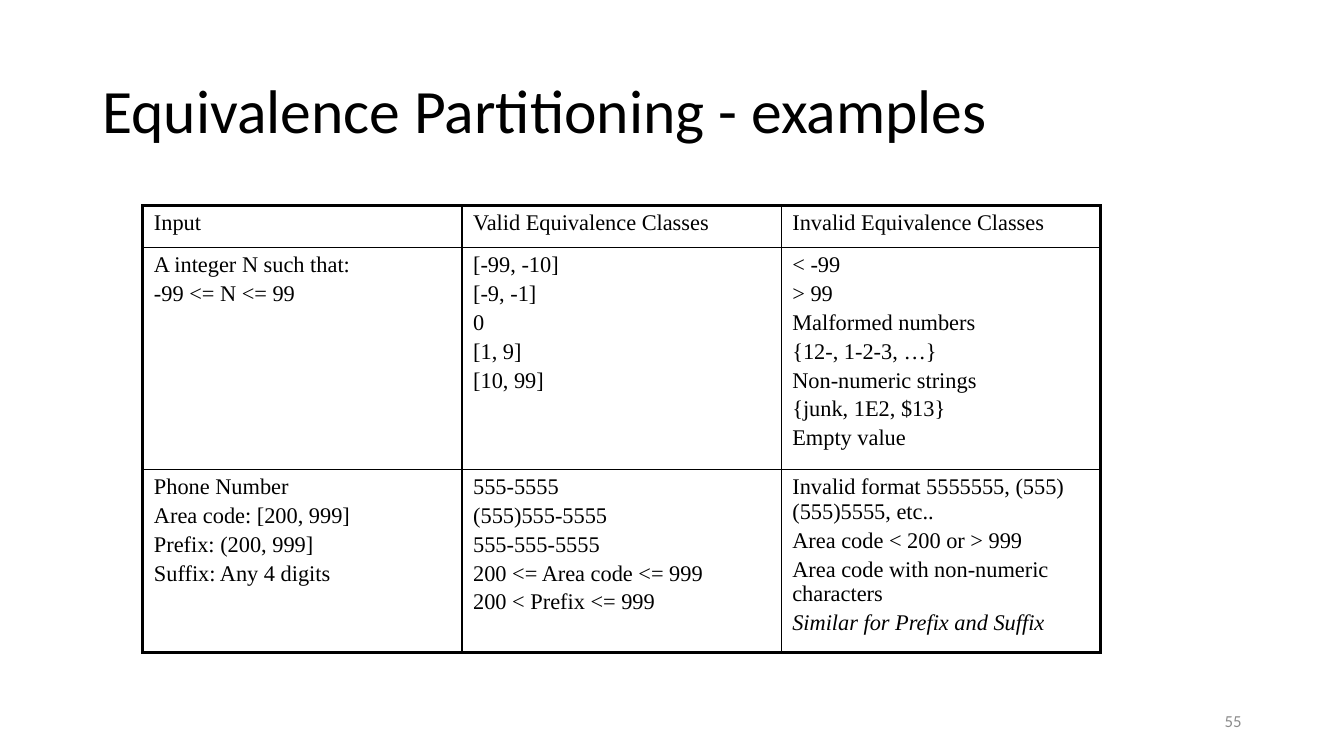
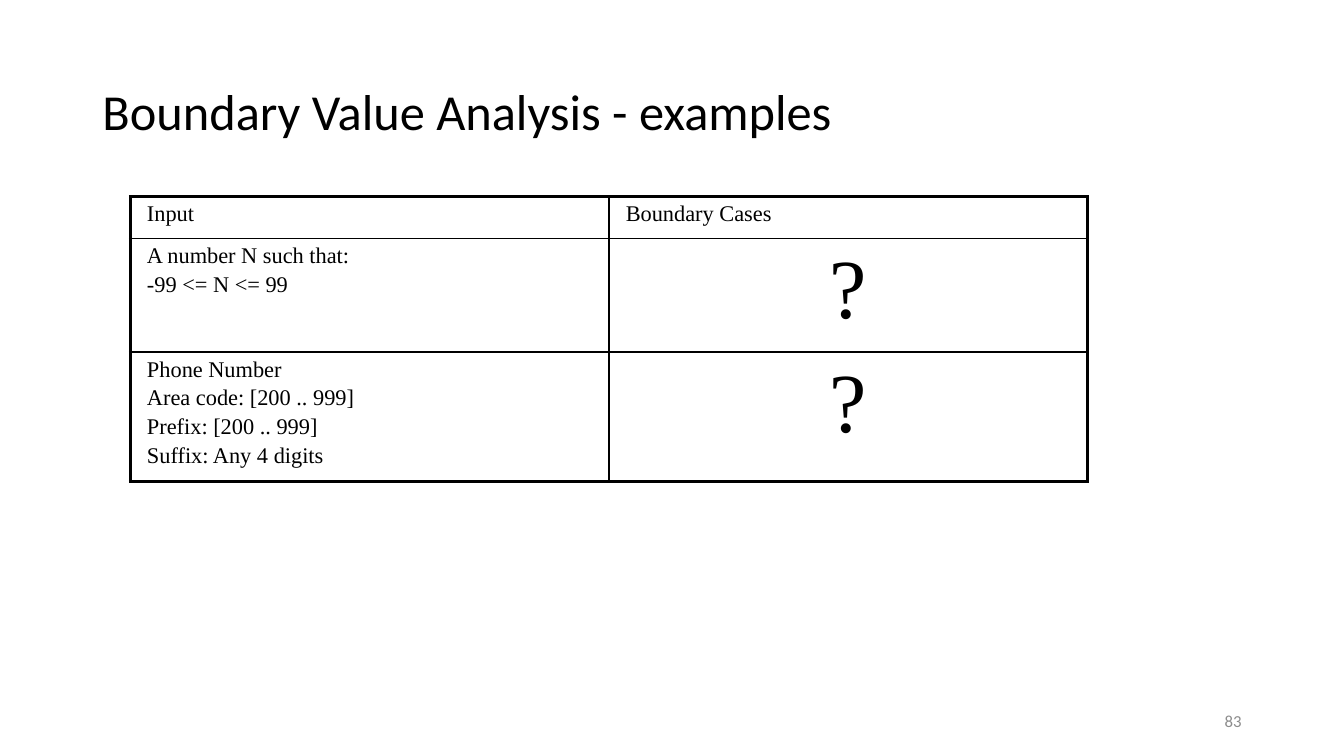
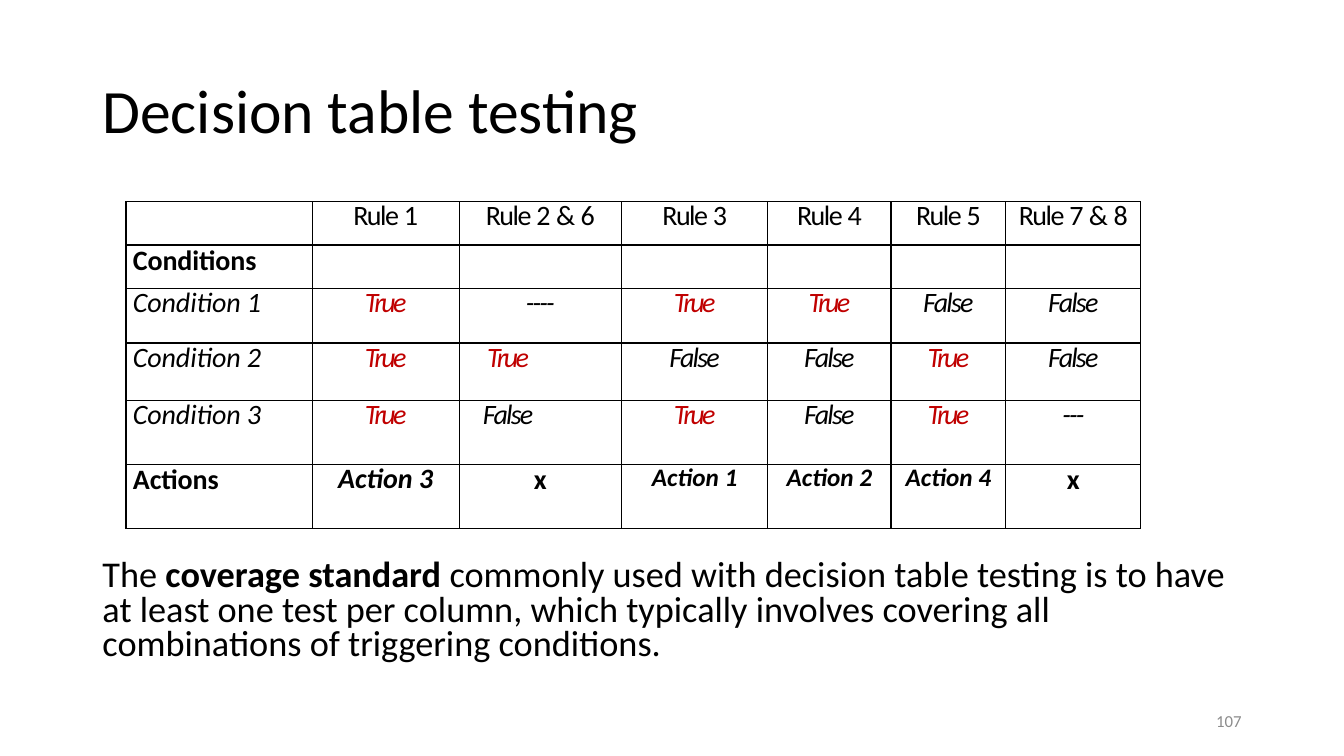
from dataclasses import dataclass

from lxml import etree
from pptx import Presentation
from pptx.dml.color import RGBColor
from pptx.enum.text import MSO_ANCHOR, MSO_AUTO_SIZE, PP_ALIGN
from pptx.oxml.ns import qn
from pptx.util import Pt

LEFT, CENTER, RIGHT = PP_ALIGN.LEFT, PP_ALIGN.CENTER, PP_ALIGN.RIGHT
TOP, MIDDLE = MSO_ANCHOR.TOP, MSO_ANCHOR.MIDDLE
NO_FIT = MSO_AUTO_SIZE.NONE
TITLE_AND_BODY, TITLE_ONLY = 1, 5

COLORS = {"ink": "000000", "true": "C00000", "number": "8C8C8C"}
SANS, SERIF = "Calibri", "Times New Roman"
TITLE_BOX = (66, 29, 828, 104.5)
NUMBER_BOX = (678, 500.5, 216, 29)


@dataclass
class Line:
    text: str
    size: float = 16
    italic: bool = False
    align: int = LEFT


def add_span(para, text, font=SANS, size=20, color="ink", bold=False, italic=False, tracking=0):
    span = para.add_run()
    span.text = text
    span.font.name = font
    span.font.size = Pt(size)
    span.font.bold = bold
    span.font.italic = italic
    span.font.color.rgb = RGBColor.from_string(COLORS[color])
    if tracking:
        span.font._element.set("spc", str(round(tracking * 100)))


def place(shape, box):
    shape.left, shape.top, shape.width, shape.height = map(Pt, box)


def add_page(deck, layout, title, number, title_size=44):
    page = deck.slides.add_slide(deck.slide_layouts[layout])
    heading = page.shapes.title
    place(heading, TITLE_BOX)
    frame = heading.text_frame
    frame.auto_size = NO_FIT
    frame.vertical_anchor = MIDDLE
    para = frame.paragraphs[0]
    para.alignment = LEFT
    para.line_spacing = 0.9
    add_span(para, title, size=title_size)

    footer = page.shapes.add_textbox(*map(Pt, NUMBER_BOX)).text_frame
    footer.word_wrap = True
    footer.vertical_anchor = MIDDLE
    para = footer.paragraphs[0]
    para.alignment = RIGHT
    add_span(para, number, size=12, color="number")
    return page


def add_border(cell, side, width):
    line = etree.SubElement(cell._tc.get_or_add_tcPr(), qn(f"a:ln{side}"), w=str(Pt(width)))
    fill = etree.SubElement(line, qn("a:solidFill"))
    etree.SubElement(fill, qn("a:srgbClr"), val=COLORS["ink"])


def add_grid(page, corner, widths, heights, outer, inner, inset_x, inset_y):
    box = (*corner, sum(widths), sum(heights))
    grid = page.shapes.add_table(len(heights), len(widths), *map(Pt, box)).table
    grid.first_row = grid.horz_banding = False
    for column, width in zip(grid.columns, widths):
        column.width = Pt(width)
    for row, height in zip(grid.rows, heights):
        row.height = Pt(height)
    last_row, last_column = len(heights) - 1, len(widths) - 1
    for r in range(len(heights)):
        for c in range(len(widths)):
            cell = grid.cell(r, c)
            cell.margin_left = cell.margin_right = Pt(inset_x)
            cell.margin_top = cell.margin_bottom = Pt(inset_y)
            edges = {"L": c == 0, "R": c == last_column, "T": r == 0, "B": r == last_row}
            for side, is_outer in edges.items():
                add_border(cell, side, outer if is_outer else inner)
            cell.fill.background()
    return grid


def add_examples(page, corner, widths, heights, inset, rows):
    grid = add_grid(page, corner, widths, heights, 2.25, 1, inset, 3.6)
    for r, row in enumerate(rows):
        for c, lines in enumerate(row):
            frame = grid.cell(r, c).text_frame
            for i, line in enumerate(lines):
                if isinstance(line, str):
                    line = Line(line)
                para = frame.add_paragraph() if i else frame.paragraphs[0]
                para.alignment = line.align
                para.space_before = Pt(2.8 if i else 0)
                add_span(para, line.text, SERIF, line.size, italic=line.italic)


def start_cell(cell, align=CENTER, indent=0, leading=22.8):
    para = cell.text_frame.paragraphs[0]
    para.alignment = align
    para.line_spacing = Pt(leading)
    if indent:
        para._p.get_or_add_pPr().set("marL", str(Pt(indent)))
    return para


def add_decisions(page, corner, widths, heights, rules, conditions, actions):
    grid = add_grid(page, corner, widths, heights, 1, 1, 0, 0)
    for c, rule in enumerate(rules, 1):
        para = start_cell(grid.cell(0, c))
        add_span(para, "Rule ", tracking=-1.1)
        add_span(para, rule, tracking=-0.3)

    for r, label in ((1, "Conditions"), (len(heights) - 1, "Actions")):
        para = start_cell(grid.cell(r, 0), LEFT, 5, 23.4)
        add_span(para, label, bold=True, tracking=-0.1)

    indents = {(3, 2): 20, (4, 2): 17}
    for r, values in enumerate(conditions, 2):
        para = start_cell(grid.cell(r, 0), LEFT, 5)
        add_span(para, f"Condition {r - 1}", italic=True, tracking=-0.1)
        for c, value in enumerate(values, 1):
            indent = indents.get((r, c), 0)
            para = start_cell(grid.cell(r, c), LEFT if indent else CENTER, indent)
            is_true = value == "True"
            add_span(para, value, color="true" if is_true else "ink", italic=True,
                     tracking=-1.9 if is_true else -1.3)

    for c, (action, size, leading) in enumerate(actions, 1):
        para = start_cell(grid.cell(len(heights) - 1, c), leading=leading)
        add_span(para, action, size=size, bold=True, italic=action != "x")


def add_statement(page, box, parts):
    body = page.placeholders[1]
    place(body, box)
    frame = body.text_frame
    frame.auto_size = NO_FIT
    frame.vertical_anchor = TOP
    para = frame.paragraphs[0]
    para.line_spacing = 0.8
    para.space_before = Pt(0)
    properties = para._p.get_or_add_pPr()
    properties.set("marL", "0")
    properties.set("indent", "0")
    etree.SubElement(properties, qn("a:buNone"))
    for text, bold in parts:
        add_span(para, text, size=25.9, bold=bold)


def main():
    deck = Presentation()
    deck.slide_width, deck.slide_height = Pt(960), Pt(540)

    page = add_page(deck, TITLE_ONLY, "Equivalence Partitioning - examples", "55")
    add_examples(page, (102, 147), [228] * 3, [30, 150.5, 123], 8, [
        [["Input"], ["Valid Equivalence Classes"], ["Invalid Equivalence Classes"]],
        [
            ["A integer N such that:", "-99 <= N <= 99"],
            ["[-99, -10]", "[-9, -1]", "0", "[1, 9]", "[10, 99]"],
            ["< -99", "> 99", "Malformed numbers", "{12-, 1-2-3, …}",
             "Non-numeric strings", "{junk, 1E2, $13}", "Empty value"],
        ],
        [
            ["Phone Number", "Area code: [200, 999]", "Prefix: (200, 999]",
             "Suffix: Any 4 digits"],
            ["555-5555", "(555)555-5555", "555-555-5555", "200 <= Area code <= 999",
             "200 < Prefix <= 999"],
            ["Invalid format 5555555, (555)(555)5555, etc..", "Area code < 200 or > 999",
             "Area code with non-numeric characters",
             Line("Similar for Prefix and Suffix", italic=True)],
        ],
    ])

    page = add_page(deck, TITLE_ONLY, "Boundary Value Analysis - examples", "83", 36)
    question = Line("?", size=60, align=CENTER)
    add_examples(page, (93, 140.5), [342] * 2, [30, 81, 88], 12, [
        [["Input"], ["Boundary Cases"]],
        [["A number N such that:", "-99 <= N <= 99"], [question]],
        [["Phone Number", "Area code: [200 .. 999]", "Prefix: [200 .. 999]",
          "Suffix: Any 4 digits"], [question]],
    ])

    page = add_page(deck, TITLE_AND_BODY, "Decision table testing", "107")
    add_statement(page, (66, 396, 828, 91), [
        ("The ", False),
        ("coverage standard ", True),
        ("commonly used with decision table testing is to have at least one test per column, "
         "which typically involves covering all combinations of triggering conditions.", False),
    ])
    add_decisions(
        page, (90, 144),
        [133, 105, 116, 104.5, 88, 82, 96.5],
        [31, 31, 39, 41, 46, 45.5],
        ["1", "2 & 6", "3", "4", "5", "7 & 8"],
        [
            ["True", "----", "True", "True", "False", "False"],
            ["True", "True", "False", "False", "True", "False"],
            ["True", "False", "True", "False", "True", "---"],
        ],
        [("Action 3", 20, 22.8), ("x", 20, 23.5), ("Action 1", 18, 20.5),
         ("Action 2", 18, 20.5), ("Action 4", 18, 20.5), ("x", 20, 23.5)],
    )

    deck.save("out.pptx")


if __name__ == "__main__":
    main()
